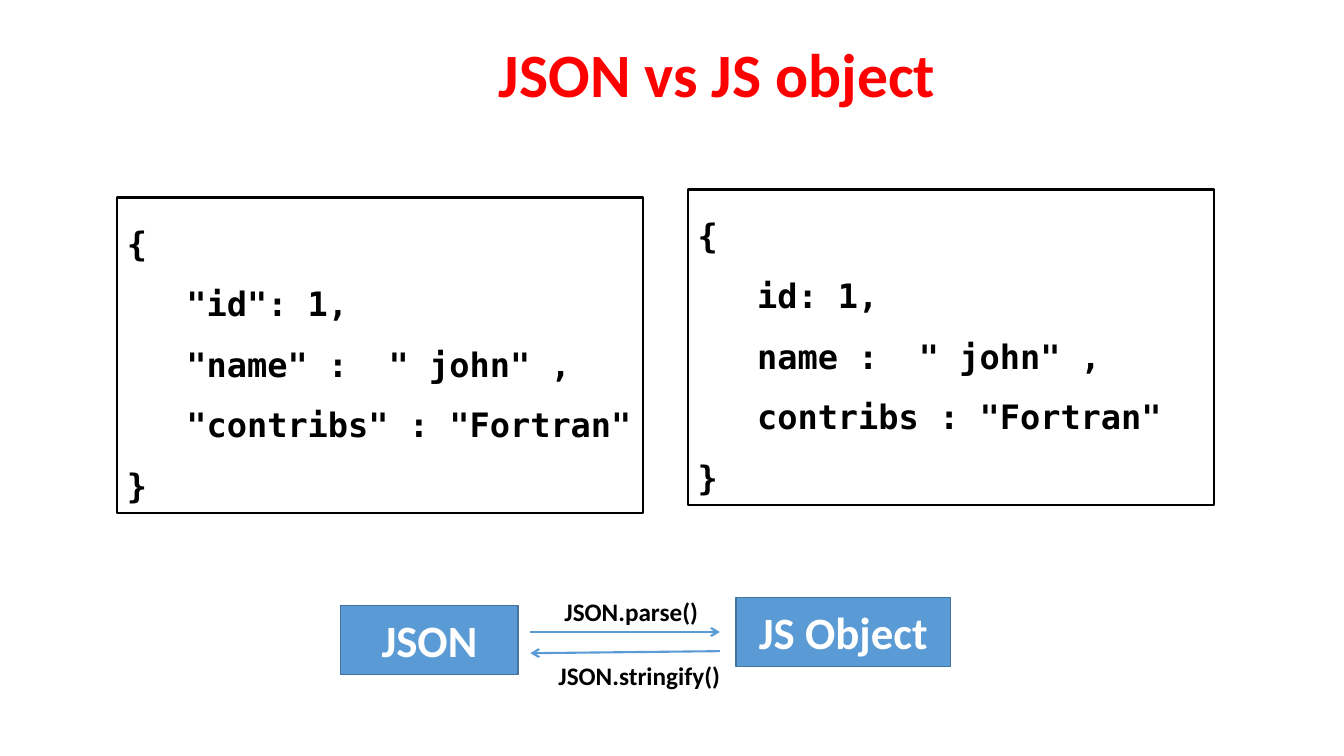
from pptx import Presentation
from pptx import util as u
from pptx.dml.color import RGBColor
from pptx.enum import shapes, text
from pptx.oxml.ns import qn
from lxml import etree

PX = 9144  # 100 px to the inch
HUES = {"title": "FF0000", "ink": "000000", "node": "5B9BD5",
        "edge": "43739E", "light": "FFFFFF"}
SANS, MONO = "Calibri", "DejaVu Sans Mono"


def rgb(hue):
    return RGBColor.from_string(HUES[hue])


def style(frame, size, font, hue):
    for para in frame.paragraphs:
        for run in para.runs:
            run.font.size = u.Pt(size)
            run.font.name = font
            run.font.bold = True
            run.font.color.rgb = rgb(hue)


def label(slide, box, words, size, hue):
    frame = slide.shapes.add_textbox(*[n * PX for n in box]).text_frame
    frame.word_wrap = False
    frame.auto_size = text.MSO_AUTO_SIZE.SHAPE_TO_FIT_TEXT
    frame.text = words
    style(frame, size, SANS, hue)


def rect(slide, box, fill, line, width):
    shape = slide.shapes.add_shape(shapes.MSO_SHAPE.RECTANGLE,
                                   *[n * PX for n in box])
    shape.shadow.inherit = False
    if fill:
        shape.fill.solid()
        shape.fill.fore_color.rgb = rgb(fill)
    else:
        shape.fill.background()
    shape.line.color.rgb = rgb(line)
    shape.line.width = u.Pt(width)
    return shape


def code(slide, box, fields):
    frame = rect(slide, box, None, "ink", 1.5).text_frame
    frame.word_wrap = True
    frame.auto_size = text.MSO_AUTO_SIZE.SHAPE_TO_FIT_TEXT
    frame.vertical_anchor = text.MSO_ANCHOR.TOP
    frame.text = "\n".join(["{", *fields, "}"])
    for para in frame.paragraphs:
        para.alignment = text.PP_ALIGN.LEFT
        para.line_spacing = 1.5
    # Indent the fields between the braces
    for para in frame.paragraphs[1:-1]:
        props = para._p.get_or_add_pPr()
        props.set("marL", str(59 * PX))
        props.set("indent", "0")
    style(frame, 24, MONO, "ink")


def node(slide, box, words):
    frame = rect(slide, box, "node", "edge", 1).text_frame
    frame.vertical_anchor = text.MSO_ANCHOR.MIDDLE
    frame.text = words
    frame.paragraphs[0].alignment = text.PP_ALIGN.CENTER
    style(frame, 32, SANS, "light")


def arrow(slide, ends):
    link = slide.shapes.add_connector(shapes.MSO_CONNECTOR.STRAIGHT,
                                      *[n * PX for n in ends])
    link.line.color.rgb = rgb("node")
    link.line.width = u.Pt(1.5)
    etree.SubElement(link.line._get_or_add_ln(), qn("a:tailEnd"), type="arrow")
    etree.SubElement(link._element.spPr, qn("a:effectLst"))


def flow(slide, box):
    x, y, w, h = box
    # The two forms
    node(slide, (x, y + 14, 176, 68), "JSON")
    node(slide, (x + w - 213, y + 6, 213, 68), "JS Object")
    # Calls that convert between them
    near, far = x + 188, x + 376
    arrow(slide, (near, y + 40, far, y + 40))
    label(slide, (x + 212, y, 154, 40), "JSON.parse()", 18, "ink")
    arrow(slide, (far, y + 59, near, y + 61))
    label(slide, (x + 206, y + h - 40, 182, 40), "JSON.stringify()", 18, "ink")


def main():
    deck = Presentation()
    deck.slide_width, deck.slide_height = 1333 * PX, 750 * PX
    slide = deck.slides.add_slide(deck.slide_layouts[6])
    # Title
    label(slide, (485, 31, 458, 84), "JSON vs JS object", 44, "title")
    # Code panels
    code(slide, (116, 196, 522, 313),
         ['"id": 1,', '"name" :  " john" ,', '"contribs" : "Fortran"'])
    code(slide, (682, 188, 522, 313),
         ['id: 1,', 'name :  " john" ,', 'contribs : "Fortran"'])
    # Conversion diagram
    flow(slide, (338, 587, 605, 103))
    deck.save("out.pptx")


if __name__ == "__main__":
    main()
